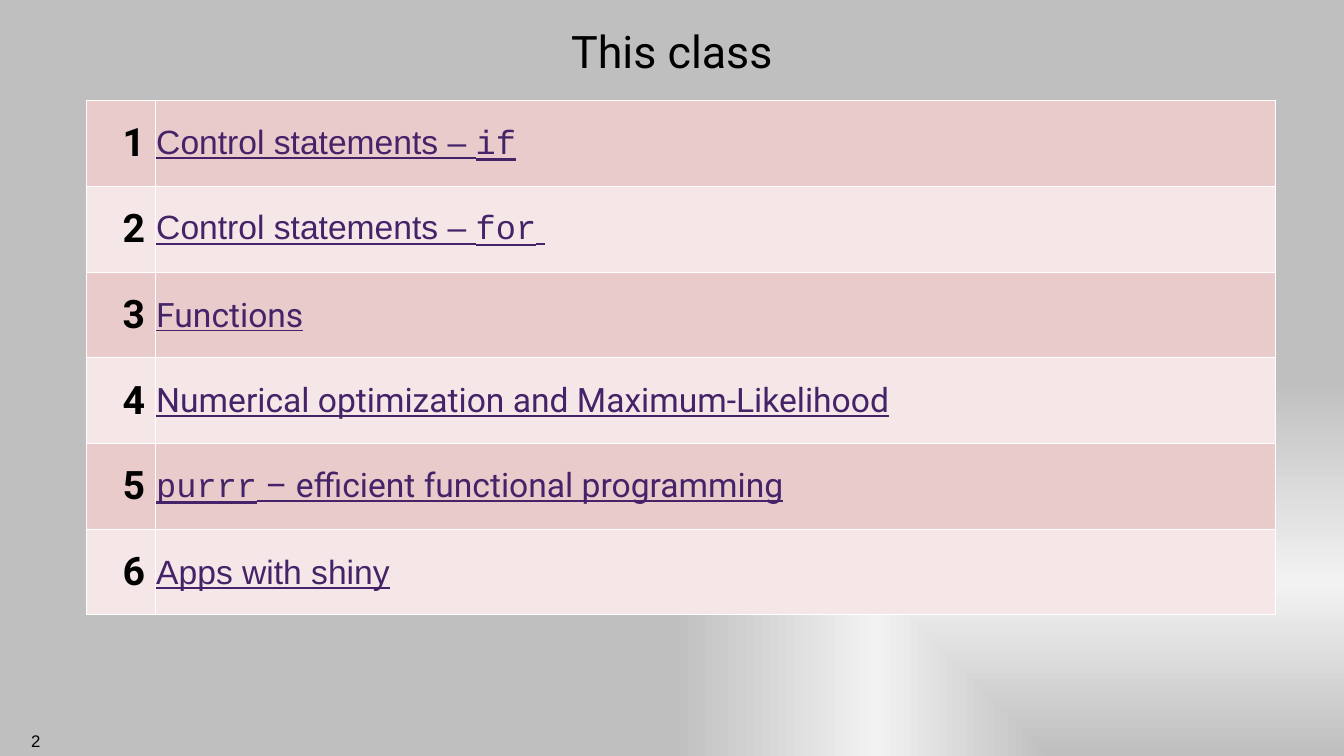
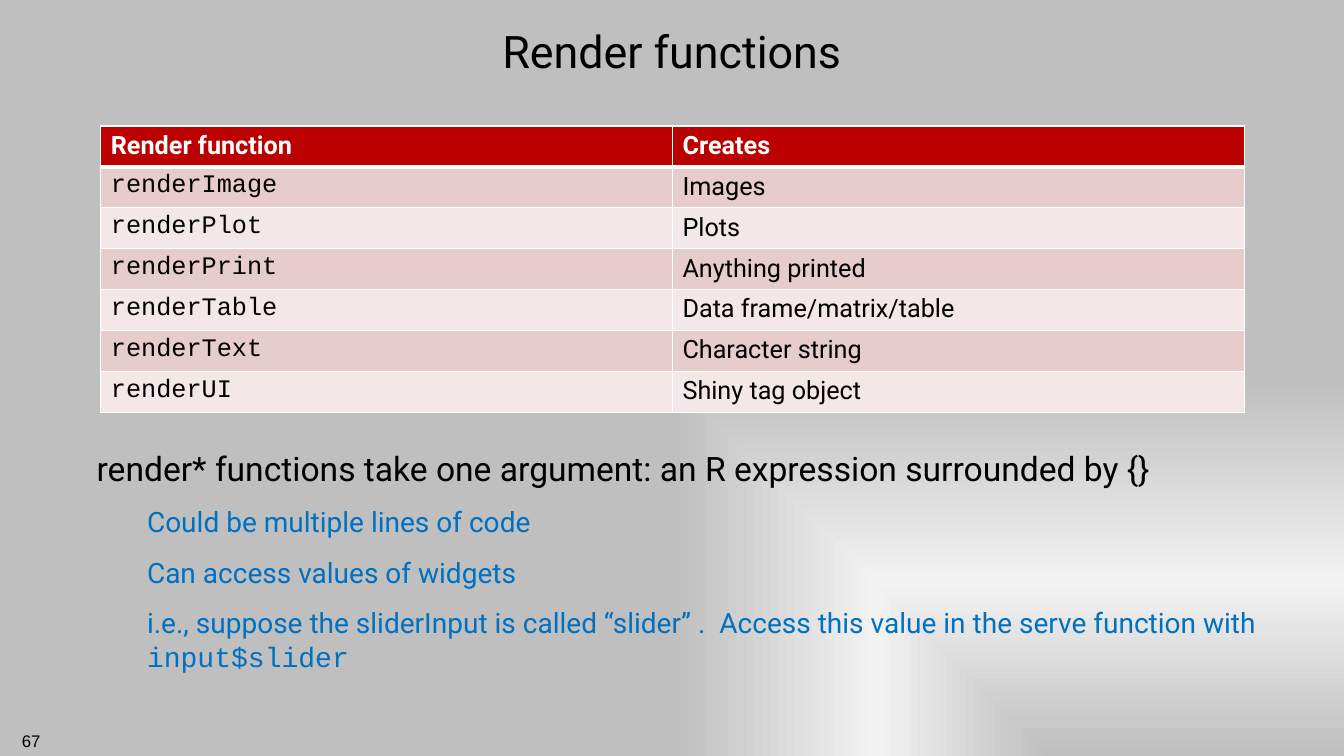
import pptx
import pptx.dml.color
import pptx.enum.text
import pptx.oxml
import pptx.oxml.ns
import pptx.util
from dataclasses import dataclass
from lxml import etree

Inches = pptx.util.Inches
Pt = pptx.util.Pt
ALIGN = pptx.enum.text.PP_ALIGN
ANCHOR = pptx.enum.text.MSO_ANCHOR


@dataclass(frozen=True)
class Theme:
    sans: str = "Roboto"
    plain: str = "Arial"
    code: str = "Courier New"
    black: str = "000000"
    white: str = "FFFFFF"
    link: str = "442369"
    blue: str = "0070C0"
    header: str = "BB0000"
    agenda_bands: tuple = ("EACBCB", "F5E7E7")
    render_bands: tuple = ("E7CCCC", "F3E7E7")
    backdrop: tuple = ((0, "BFBFBF"), (46, "F2F2F2"), (100, "BFBFBF"))
    title_size: int = 32
    number_size: int = 28
    main_size: int = 24
    sub_size: int = 20
    table_size: int = 18
    footer_size: int = 12


THEME = Theme()

# Each line of text is a list of (text, font) spans.
AGENDA = [
    [("Control statements – ", THEME.plain), ("if", THEME.code)],
    [("Control statements – ", THEME.plain), ("for", THEME.code), (" ", THEME.plain)],
    [("Functions", THEME.sans)],
    [("Numerical optimization and Maximum-Likelihood", THEME.sans)],
    [("purrr", THEME.code), (" – efficient functional programming", THEME.sans)],
    [("Apps with shiny", THEME.plain)],
]

RENDER_HEADER = ("Render function", "Creates")
RENDER_ROWS = [
    ("renderImage", "Images"),
    ("renderPlot", "Plots"),
    ("renderPrint", "Anything printed"),
    ("renderTable", "Data frame/matrix/table"),
    ("renderText", "Character string"),
    ("renderUI", "Shiny tag object"),
]

RENDER_RULE = "render* functions take one argument: an R expression surrounded by {}"
RENDER_NOTES = [
    [("Could be multiple lines of code", THEME.sans)],
    [("Can access values of widgets", THEME.sans)],
    [("i.e., suppose the sliderInput is called “slider” .  "
      "Access this value in the serve function with ", THEME.sans),
     ("input$slider", THEME.code)],
]


def rgb(color):
    return pptx.dml.color.RGBColor.from_string(color)


def write(para, spans, size, color, align=ALIGN.LEFT, bold=False, underline=False):
    """Fill a paragraph; its first span sets the font, others differ by run."""
    para.alignment = align
    font = para.font
    font.name, font.size = spans[0][1], Pt(size)
    font.bold, font.underline = bold, underline
    font.color.rgb = rgb(color)
    for text, name in spans:
        span = para.add_run()
        span.text = text
        if name != font.name:
            span.font.name = name


def set_margins(target, left, top, right, bottom):
    target.margin_left, target.margin_top = Inches(left), Inches(top)
    target.margin_right, target.margin_bottom = Inches(right), Inches(bottom)


def set_backdrop(master):
    """Give every page a gradient that spreads from the bottom right corner."""
    master.background.fill.solid()
    solid = master.element.find(".//" + pptx.oxml.ns.qn("p:bgPr"))[0]
    stops = "".join(
        f'<a:gs pos="{percent * 1000}"><a:srgbClr val="{color}"/></a:gs>'
        for percent, color in THEME.backdrop)
    gradient = pptx.oxml.parse_xml(
        f'<a:gradFill {pptx.oxml.ns.nsdecls("a")} rotWithShape="1">'
        f'<a:gsLst>{stops}</a:gsLst><a:path path="rect">'
        '<a:fillToRect l="100000" t="100000"/></a:path></a:gradFill>')
    solid.getparent().replace(solid, gradient)


def add_page(deck, title, number):
    page = deck.slides.add_slide(deck.slide_layouts[5])
    heading = page.shapes.title
    heading.left, heading.top = Inches(1), Inches(0)
    heading.width, heading.height = Inches(11.33), Inches(1)
    frame = heading.text_frame
    frame.vertical_anchor = ANCHOR.MIDDLE
    set_margins(frame, 0.1, 0.1, 0.1, 0.1)
    write(frame.paragraphs[0], [(title, THEME.sans)], THEME.title_size,
          THEME.black, ALIGN.CENTER)

    footer = page.shapes.add_textbox(Inches(0), Inches(7.2), Inches(0.5), Inches(0.3))
    footer.text_frame.word_wrap = True
    write(footer.text_frame.paragraphs[0], [(str(number), THEME.plain)],
          THEME.footer_size, THEME.black, ALIGN.RIGHT)
    return page


def add_grid(page, left, top, widths, row_count, row_height, has_header):
    frame = page.shapes.add_table(
        row_count, len(widths), Inches(left), Inches(top),
        Inches(sum(widths)), Inches(row_count * row_height))
    table = frame.table
    table.first_row, table.horz_banding = has_header, False
    for column, width in zip(table.columns, widths):
        column.width = Inches(width)
    for row in table.rows:
        row.height = Inches(row_height)
    return table


def style_cell(cell, fill, top=1, bottom=1):
    """Set the fill and white borders; top and bottom are widths in points."""
    cell.fill.solid()
    cell.fill.fore_color.rgb = rgb(fill)
    properties = cell._tc.get_or_add_tcPr()
    borders = (("lnL", 1), ("lnR", 1), ("lnT", top), ("lnB", bottom))
    for index, (tag, width) in enumerate(borders):
        line = etree.Element(pptx.oxml.ns.qn("a:" + tag), w=str(Pt(width)))
        paint = etree.SubElement(line, pptx.oxml.ns.qn("a:solidFill"))
        etree.SubElement(paint, pptx.oxml.ns.qn("a:srgbClr"), val=THEME.white)
        properties.insert(index, line)


def build_agenda(deck):
    page = add_page(deck, "This class", 2)
    table = add_grid(page, 0.86, 1, (0.68, 11.11), len(AGENDA), 0.85, False)
    for index, spans in enumerate(AGENDA):
        number, topic = table.cell(index, 0), table.cell(index, 1)
        for cell in (number, topic):
            style_cell(cell, THEME.agenda_bands[index % 2])
            cell.vertical_anchor = ANCHOR.MIDDLE
        set_margins(topic, 0.01, 0.01, 0.01, 0)
        write(number.text_frame.paragraphs[0], [(str(index + 1), THEME.sans)],
              THEME.number_size, THEME.black, ALIGN.RIGHT, bold=True)
        write(topic.text_frame.paragraphs[0], spans, THEME.main_size,
              THEME.link, underline=True)


def build_render_functions(deck):
    page = add_page(deck, "Render functions", 67)

    box = page.shapes.add_textbox(Inches(0.86), Inches(4.34), Inches(11.79), Inches(2.36))
    frame = box.text_frame
    frame.word_wrap = True
    set_margins(frame, 0.1, 0.1, 0.1, 0.1)
    write(frame.paragraphs[0], [(RENDER_RULE, THEME.sans)], THEME.main_size, THEME.black)
    for spans in RENDER_NOTES:
        para = frame.add_paragraph()
        para.level = 1
        write(para, spans, THEME.sub_size, THEME.blue)
        para._p.get_or_add_pPr().set("marL", str(Inches(0.5)))
    for para in frame.paragraphs:
        para.space_before = Pt(12)

    rows = [RENDER_HEADER] + RENDER_ROWS
    table = add_grid(page, 1, 1.25, (5.67, 5.67), len(rows), 2.84 / len(rows), True)
    for row_index, row in enumerate(rows):
        is_header = row_index == 0
        fill = THEME.header if is_header else THEME.render_bands[(row_index - 1) % 2]
        for column_index, text in enumerate(row):
            cell = table.cell(row_index, column_index)
            style_cell(cell, fill, top=3 if row_index == 1 else 1,
                       bottom=3 if is_header else 1)
            is_code = column_index == 0 and not is_header
            write(cell.text_frame.paragraphs[0],
                  [(text, THEME.code if is_code else THEME.sans)], THEME.table_size,
                  THEME.white if is_header else THEME.black, bold=is_header)


def main():
    deck = pptx.Presentation()
    deck.slide_width, deck.slide_height = Inches(13.33), Inches(7.5)
    set_backdrop(deck.slide_master)
    build_agenda(deck)
    build_render_functions(deck)
    deck.save("out.pptx")


if __name__ == "__main__":
    main()
